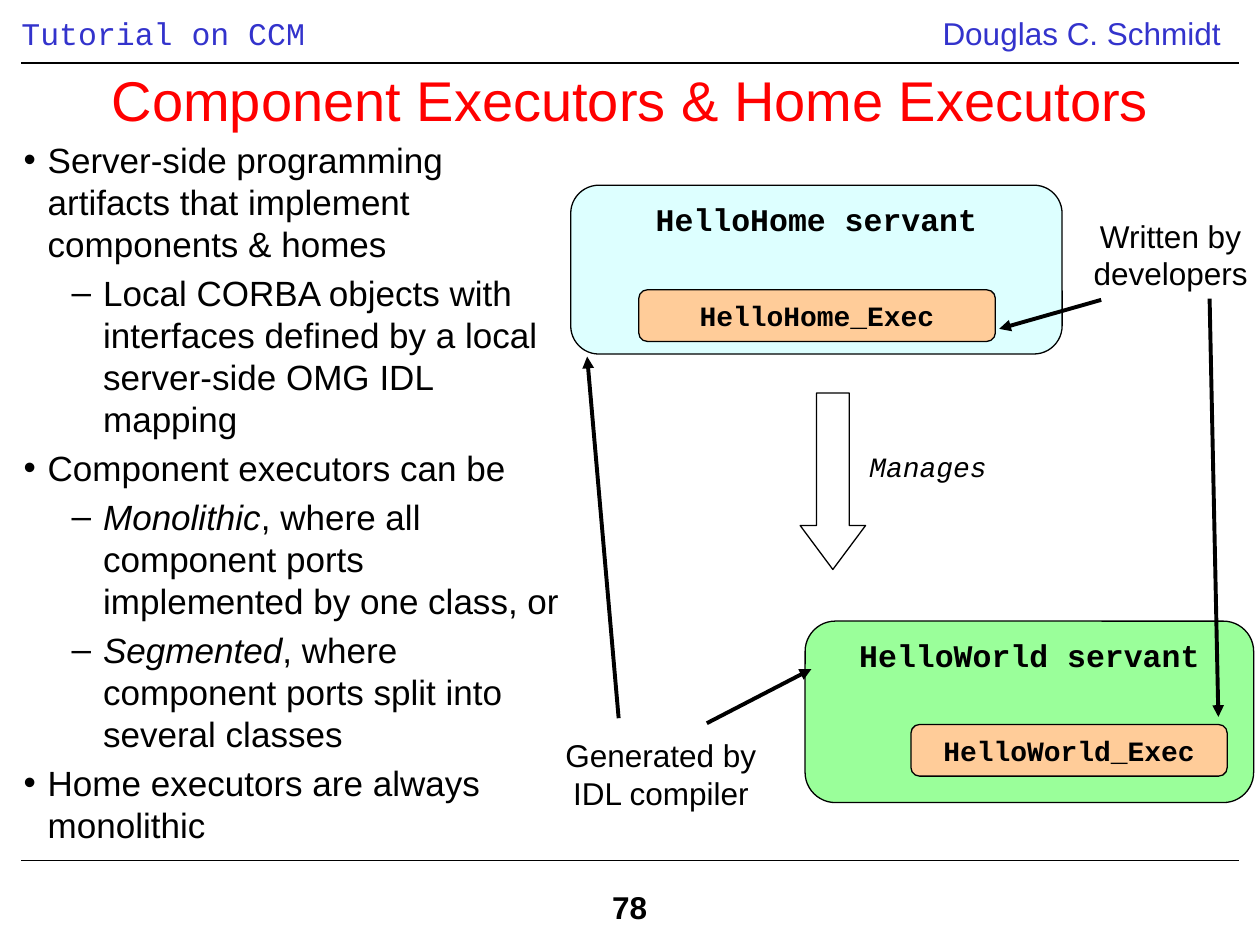
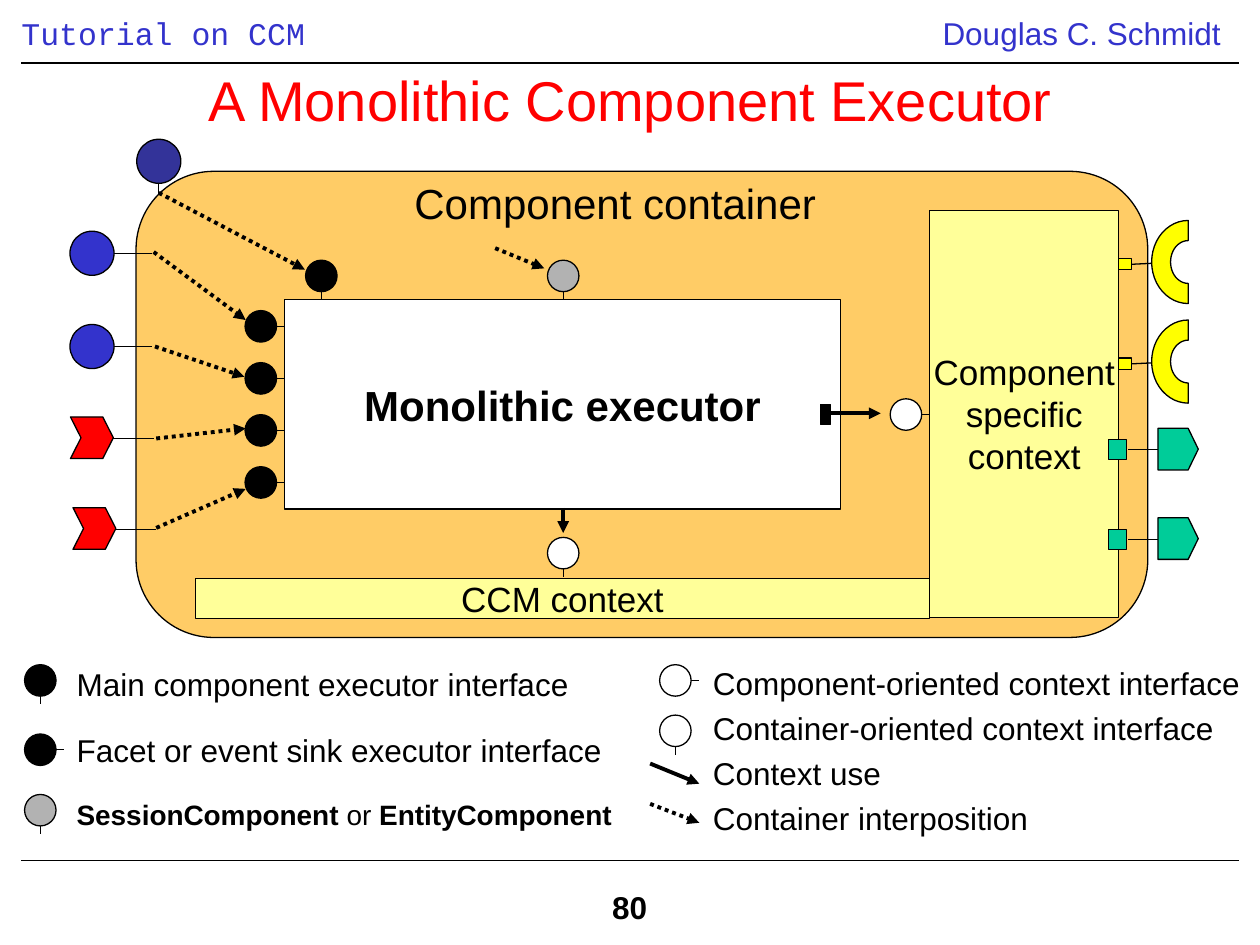
from math import cos, pi, sin

from lxml.etree import SubElement
from pptx import Presentation
from pptx.dml.color import RGBColor
from pptx.enum.dml import MSO_LINE
from pptx.enum.shapes import MSO_CONNECTOR, MSO_SHAPE as Preset
from pptx.enum.text import MSO_ANCHOR as Anchor, MSO_AUTO_SIZE, PP_ALIGN as Align
from pptx.oxml.ns import qn
from pptx.util import Inches, Pt

# Shared look
SANS, MONO = "Arial", "Courier New"
BLACK, WHITE, BLUE, NAVY, RED = "000000", "FFFFFF", "3333CC", "333399", "FF0000"
PEACH, ORANGE, CREAM, YELLOW = "FFCC99", "FFCC66", "FFFF99", "FFFF00"
GREEN, GRAY = "00CC99", "B2B2B2"
CORNER = 0.167

# Slide 78: (level, emphasized opening, rest)
BULLETS = [
    (0, "", "Server-side programming artifacts that implement components & homes"),
    (1, "", "Local CORBA objects with interfaces defined by a local server-side OMG IDL mapping"),
    (0, "", "Component executors can be"),
    (1, "Monolithic", ", where all component ports implemented by one class, or"),
    (1, "Segmented", ", where component ports split into several classes"),
    (0, "", "Home executors are always monolithic"),
]
BULLET_STYLES = [("•", 0.19, 0.19), ("–", 0.63, 0.25)]  # mark, indent, hanging
SERVANTS = [  # name, place, fill
    ("HelloHome servant", (4.53, 1.47, 3.9, 1.34), "CCFFFF"),
    ("HelloWorld servant", (6.39, 4.93, 3.56, 1.44), "66FF66"),
]
EXECUTORS = [
    ("HelloHome_Exec", (5.07, 2.3, 2.83, 0.41)),
    ("HelloWorld_Exec", (7.23, 5.75, 2.51, 0.41)),
]
ORIGIN_ARROWS = [
    ((8.74, 2.38), (7.93, 2.61)), ((9.6, 2.37), (9.67, 5.69)),
    ((4.91, 5.7), (4.66, 2.83)), ((5.61, 5.74), (6.44, 5.31)),
]

# Slide 80: places of ports and interfaces
FACET_ROWS = [2.01, 2.75]
SINKS = [(0.56, 3.48), (0.58, 4.2)]
RECEPTACLE_ROWS = [2.09, 2.88]
SOURCE_ROWS = [3.57, 4.28]
EXECUTOR_ROWS = [2.59 + 0.413 * row for row in range(4)]
INTERFACES = [  # center, fill, stem points down
    ((2.55, 2.19), BLACK, True), ((4.47, 2.19), GRAY, True),
    ((4.47, 4.39), WHITE, True), ((7.19, 3.29), WHITE, False),
    ((0.32, 5.4), BLACK, True), ((0.32, 5.95), BLACK, False),
    ((0.32, 6.43), GRAY, True),
    ((5.36, 5.4), WHITE, False), ((5.36, 5.8), WHITE, True),
]
INTERPOSITIONS = [
    ((1.26, 1.53), (2.42, 2.14)), ((1.22, 2), (1.95, 2.54)),
    ((1.23, 2.75), (1.94, 2.99)), ((1.24, 3.48), (1.95, 3.4)),
    ((1.24, 4.19), (1.95, 3.88)), ((3.93, 1.97), (4.32, 2.13)),
    ((5.16, 6.38), (5.55, 6.53)),
]
CONTEXT_USES = [
    ((6.59, 3.28), (6.99, 3.28)), ((4.47, 4.03), (4.47, 4.23)),
    ((5.16, 6.06), (5.55, 6.22)),
]
LEGEND = [  # left, top, row step, (text, width)
    (0.51, 5.23, 0.52, [("Main component executor interface", 4.1),
                        ("Facet or event sink executor interface", 4.37)]),
    (5.56, 5.22, 0.357, [("Component-oriented context interface", 4.38),
                         ("Container-oriented context interface", 4.17),
                         ("Context use", 1.53),
                         ("Container interposition", 2.7)]),
]
SESSION_LABEL = [("SessionComponent", True), (" or ", False), ("EntityComponent", True)]


def color(value):
    return RGBColor.from_string(value)


def style_font(font, size, name=SANS, ink=BLACK, bold=False, italic=False):
    font.size, font.name = Pt(size), name
    font.bold, font.italic = bold, italic
    font.color.rgb = color(ink)


def write(shape, text, size, align=Align.LEFT, anchor=Anchor.TOP, wrap=False, **font):
    """Fill a shape with text, one paragraph per line."""
    frame = shape.text_frame
    frame.auto_size = MSO_AUTO_SIZE.NONE
    frame.word_wrap, frame.vertical_anchor = wrap, anchor
    frame.text = text
    for paragraph in frame.paragraphs:
        paragraph.alignment = align
        style_font(paragraph.font, size, **font)
    return frame


def add_text(slide, place, text, size, **style):
    return write(slide.shapes.add_textbox(*map(Inches, place)), text, size, **style)


def paint(shape, fill, outline=BLACK):
    shape.shadow.inherit = False
    if fill:
        shape.fill.solid()
        shape.fill.fore_color.rgb = color(fill)
    else:
        shape.fill.background()
    if outline:
        shape.line.color.rgb = color(outline)
        shape.line.width = Pt(0.75)
    else:
        shape.line.fill.background()
    return shape


def add_preset(slide, kind, place, fill, adjust=(), outline=BLACK):
    shape = slide.shapes.add_shape(kind, *map(Inches, place))
    for index, value in enumerate(adjust):
        shape.adjustments[index] = value
    return paint(shape, fill, outline)


def add_line(slide, start, end, width=0.75, arrow=False, dotted=False):
    line = slide.shapes.add_connector(MSO_CONNECTOR.STRAIGHT, *map(Inches, start + end))
    line.line.color.rgb = color(BLACK)
    line.line.width = Pt(width)
    if dotted:
        line.line.dash_style = MSO_LINE.ROUND_DOT
    properties = line._element.spPr
    if arrow:
        SubElement(properties.find(qn("a:ln")), qn("a:tailEnd"), type="triangle")
    SubElement(properties, qn("a:effectLst"))


def add_arrow(slide, start, end, dotted=False):
    add_line(slide, start, end, 2.25, arrow=True, dotted=dotted)


def add_base(presentation, title, number):
    """Add a slide with the shared header, rules, title and number."""
    slide = presentation.slides.add_slide(presentation.slide_layouts[5])
    header = add_text(slide, (0.17, 0.06, 5.92, 0.4), "Tutorial on CCM", 18,
                      wrap=True, name=MONO, ink=BLUE)
    header.margin_left = header.margin_right = 0
    add_text(slide, (7.33, 0.06, 2.51, 0.4), "Douglas C. Schmidt", 18,
             align=Align.CENTER, wrap=True, ink=BLUE)
    for height in (0.5, 6.83):
        add_line(slide, (0.17, height), (9.83, height))
    box = add_preset(slide, Preset.RECTANGLE, (4.76, 7, 0.51, 0.4), WHITE, outline=None)
    write(box, str(number), 18, bold=True)
    heading = slide.shapes.title
    heading.left, heading.top, heading.width, heading.height = map(
        Inches, (0.17, 0.58, 9.67, 0.42))
    write(heading, title, 32, align=Align.CENTER, anchor=Anchor.MIDDLE, wrap=True, ink=RED)
    return slide


def add_bullets(slide, place):
    frame = slide.shapes.add_textbox(*map(Inches, place)).text_frame
    frame.word_wrap = True
    for index, (level, opening, rest) in enumerate(BULLETS):
        paragraph = frame.add_paragraph() if index else frame.paragraphs[0]
        mark, indent, hanging = BULLET_STYLES[level]
        paragraph.level = level
        properties = paragraph._p.get_or_add_pPr()
        properties.set("marL", str(Inches(indent)))
        properties.set("indent", str(-Inches(hanging)))
        SubElement(properties, qn("a:buFont"), typeface=SANS)
        SubElement(properties, qn("a:buChar"), char=mark)
        if index:
            paragraph.space_before = Pt(4)
        style_font(paragraph.font, 20)
        if opening:
            run = paragraph.add_run()
            run.text, run.font.italic = opening, True
        paragraph.add_run().text = rest


def add_lollipop(slide, center, fill, down=False, diameter=0.25, stem=0.19):
    x, y = center
    add_line(slide, center, (x, y + stem) if down else (x + stem, y))
    place = (x - diameter / 2, y - diameter / 2, diameter, diameter)
    add_preset(slide, Preset.OVAL, place, fill)


def add_receptacle(slide, y):
    """Draw a half ring, open to the right, wired to its socket."""
    add_line(slide, (9.14, y), (8.94, y + 0.01))
    add_preset(slide, Preset.RECTANGLE, (8.88, y - 0.04, 0.1, 0.09), YELLOW)
    steps = 24
    angles = [pi / 2 + pi * step / steps for step in range(steps + 1)]
    points = [(Inches(9.43 + radius_x * cos(angle)), Inches(y - 0.01 + radius_y * sin(angle)))
              for radius_x, radius_y, sweep in ((0.29, 0.33, angles), (0.14, 0.17, angles[::-1]))
              for angle in sweep]
    builder = slide.shapes.build_freeform(*points[0])
    builder.add_line_segments(points[1:], close=True)
    paint(builder.convert_to_shape(), YELLOW)


def build_executors_slide(presentation):
    slide = add_base(presentation, "Component Executors & Home Executors", 78)
    add_bullets(slide, (0.09, 1.05, 4.5, 5.58))

    # Servants and the executors inside them
    for name, place, fill in SERVANTS:
        servant = add_preset(slide, Preset.ROUNDED_RECTANGLE, place, fill, [CORNER])
        fill_color = servant._element.spPr.find(qn("a:solidFill"))[0]
        SubElement(fill_color, qn("a:alpha"), val="66000")
        write(servant, name, 18, align=Align.CENTER, name=MONO, bold=True)
    for name, place in EXECUTORS:
        executor = add_preset(slide, Preset.ROUNDED_RECTANGLE, place, PEACH, [CORNER])
        write(executor, name, 16, align=Align.CENTER, anchor=Anchor.MIDDLE,
              name=MONO, bold=True)

    # Relation between the servants
    add_preset(slide, Preset.DOWN_ARROW, (6.35, 3.12, 0.52, 1.4), None, [0.5, 0.672])
    add_text(slide, (6.68, 3.52, 1.37, 0.37), "Manages", 16, align=Align.CENTER,
             wrap=True, name=MONO, italic=True)

    # Where the code comes from
    add_text(slide, (8.58, 1.67, 1.42, 0.7), "Written by\ndevelopers", 18, align=Align.CENTER)
    add_text(slide, (4.29, 5.79, 1.91, 0.7), "Generated by IDL compiler", 18,
             align=Align.CENTER, wrap=True)
    for start, end in ORIGIN_ARROWS:
        add_arrow(slide, start, end)


def build_monolithic_slide(presentation):
    slide = add_base(presentation, "A Monolithic Component Executor", 80)

    # Container, executor and contexts
    add_preset(slide, Preset.ROUNDED_RECTANGLE, (1.08, 1.36, 8.03, 3.7), ORANGE, [CORNER])
    add_text(slide, (3.19, 1.36, 3.39, 0.5), "Component container", 24)
    for text, place, fill, size, bold in [
        ("Monolithic executor", (2.26, 2.38, 4.41, 1.66), WHITE, 24, True),
        ("CCM context", (1.55, 4.59, 5.83, 0.32), CREAM, 20, False),
        ("Component\nspecific\ncontext", (7.38, 1.67, 1.5, 3.23), CREAM, 20, False),
    ]:
        write(add_preset(slide, Preset.RECTANGLE, place, fill), text, size,
              align=Align.CENTER, anchor=Anchor.MIDDLE, bold=bold)

    # Ports on the left
    add_lollipop(slide, (1.26, 1.28), NAVY, down=True, diameter=0.35, stem=0.27)
    for y in FACET_ROWS:
        add_lollipop(slide, (0.73, y), BLUE, diameter=0.35, stem=0.48)
    for x, y in SINKS:
        add_line(slide, (x + 0.32, y), (x + 0.66, y))
        add_preset(slide, Preset.CHEVRON, (x, y - 0.17, 0.34, 0.33), RED, [0.254])

    # Ports on the right
    for y in RECEPTACLE_ROWS:
        add_receptacle(slide, y)
    for y in SOURCE_ROWS:
        add_line(slide, (9.23, y), (8.95, y))
        add_preset(slide, Preset.RECTANGLE, (8.8, y - 0.08, 0.14, 0.16), GREEN)
        add_preset(slide, Preset.PENTAGON, (9.19, y - 0.17, 0.32, 0.33), GREEN, [0.25])

    # Interfaces, also those of the legend
    for y in EXECUTOR_ROWS:
        add_lollipop(slide, (2.07, y), BLACK)
    for center, fill, down in INTERFACES:
        add_lollipop(slide, center, fill, down)

    # Arrows
    for start, end in INTERPOSITIONS:
        add_arrow(slide, start, end, dotted=True)
    for start, end in CONTEXT_USES:
        add_arrow(slide, start, end)
    add_preset(slide, Preset.RECTANGLE, (6.51, 3.21, 0.08, 0.16), BLACK)

    # Legend texts
    for left, top, step, rows in LEGEND:
        for row, (text, width) in enumerate(rows):
            add_text(slide, (left, top + row * step, width, 0.4), text, 18)
    paragraph = add_text(slide, (0.51, 6.28, 4.46, 0.37), "", 16).paragraphs[0]
    for text, bold in SESSION_LABEL:
        run = paragraph.add_run()
        run.text, run.font.bold = text, bold


def main():
    presentation = Presentation()
    presentation.slide_width, presentation.slide_height = Inches(10), Inches(7.5)
    build_executors_slide(presentation)
    build_monolithic_slide(presentation)
    presentation.save("out.pptx")


if __name__ == "__main__":
    main()
